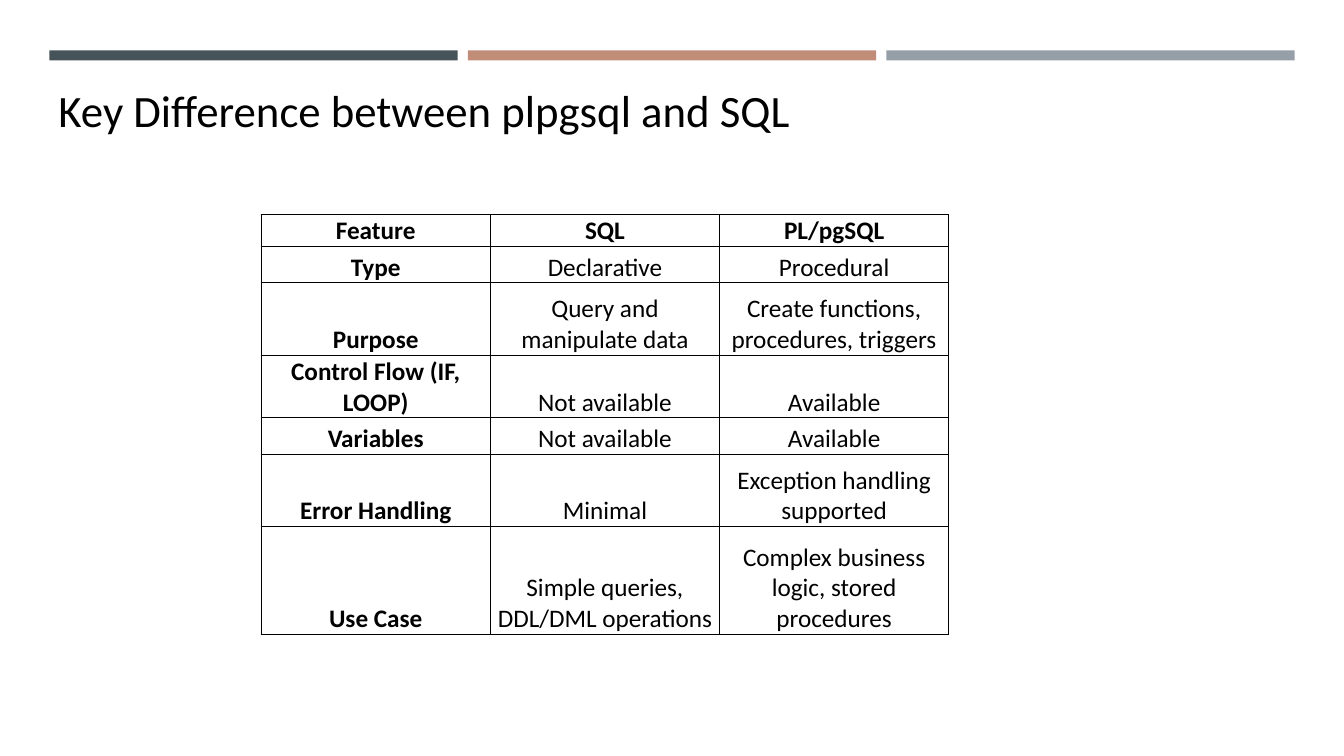
import pptx
import pptx.dml.color
import pptx.enum.shapes
import pptx.enum.text
import pptx.oxml
import pptx.oxml.ns
import pptx.util
from pptx.util import Inches

RGBColor = pptx.dml.color.RGBColor
BLACK = RGBColor(0x00, 0x00, 0x00)
SLATE = RGBColor(0x46, 0x53, 0x59)
CLAY = RGBColor(0xC1, 0x8C, 0x78)
GREY = RGBColor(0x96, 0x9F, 0xA7)

FONT = "Calibri"
ROW_HEIGHTS = [0.2, 0.36, 0.72, 0.54, 0.36, 0.72, 1.07]
ROWS = [
    ("Feature", "SQL", "PL/pgSQL"),
    ("Type", "Declarative", "Procedural"),
    ("Purpose", "Query and manipulate data", "Create functions, procedures, triggers"),
    ("Control Flow (IF, LOOP)", "Not available", "Available"),
    ("Variables", "Not available", "Available"),
    ("Error Handling", "Minimal", "Exception handling supported"),
    ("Use Case", "Simple queries, DDL/DML operations",
     "Complex business logic, stored procedures"),
]


def write(tf, text, size=18, bold=False, color=BLACK,
          align=pptx.enum.text.PP_ALIGN.LEFT):
    tf.word_wrap = True
    p = tf.paragraphs[0]
    p.alignment = align
    r = p.add_run()
    r.text = text
    r.font.name = FONT
    r.font.size = pptx.util.Pt(size)
    r.font.bold = bold
    r.font.color.rgb = color


def add_bars(s, left, top, width, height, gap=0.1):
    """Divide the width into three equal coloured bars."""
    colors = (SLATE, CLAY, GREY)
    bar = (width - gap * (len(colors) - 1)) / len(colors)
    for i, color in enumerate(colors):
        sp = s.shapes.add_shape(
            pptx.enum.shapes.MSO_SHAPE.RECTANGLE,
            Inches(left + i * (bar + gap)), Inches(top), Inches(bar), Inches(height))
        sp.shadow.inherit = False
        sp.fill.solid()
        sp.fill.fore_color.rgb = color
        sp.line.fill.background()


def add_title(s, text, left, top, width, height):
    sp = s.shapes.title
    sp.left, sp.top = Inches(left), Inches(top)
    sp.width, sp.height = Inches(width), Inches(height)
    tf = sp.text_frame
    tf.vertical_anchor = pptx.enum.text.MSO_ANCHOR.TOP
    tf.auto_size = pptx.enum.text.MSO_AUTO_SIZE.NONE
    write(tf, text, size=32)


def set_borders(cell, color=BLACK, points=1):
    tc_pr = cell._tc.get_or_add_tcPr()
    for i, side in enumerate("LRTB"):
        tc_pr.insert(i, pptx.oxml.parse_xml(
            f'<a:ln{side} {pptx.oxml.ns.nsdecls("a")} w="{pptx.util.Pt(points)}">'
            f'<a:solidFill><a:srgbClr val="{color}"/></a:solidFill></a:ln{side}>'))


def add_comparison(s, left, top, width):
    table = s.shapes.add_table(
        len(ROWS), len(ROWS[0]), Inches(left), Inches(top),
        Inches(width), Inches(sum(ROW_HEIGHTS))).table
    table.horz_banding = False
    for row, height in zip(table.rows, ROW_HEIGHTS):
        row.height = Inches(height)
    for i, texts in enumerate(ROWS):
        for j, text in enumerate(texts):
            cell = table.cell(i, j)
            cell.fill.background()
            cell.vertical_anchor = pptx.enum.text.MSO_ANCHOR.BOTTOM
            cell.margin_left = cell.margin_right = cell.margin_top = Inches(0.01)
            cell.margin_bottom = 0
            write(cell.text_frame, text, bold=i == 0 or j == 0,
                  align=pptx.enum.text.PP_ALIGN.CENTER)
            set_borders(cell)


def main():
    prs = pptx.Presentation()
    prs.slide_width, prs.slide_height = Inches(13.33), Inches(7.5)
    s = prs.slides.add_slide(prs.slide_layouts.get_by_name("Title Only"))
    add_bars(s, 0.49, 0.5, 12.35, 0.1)
    add_comparison(s, 2.59, 2.13, 6.82)
    add_title(s, "Key Difference between plpgsql and SQL", 0.48, 0.77, 7.98, 0.64)
    prs.save("out.pptx")


if __name__ == "__main__":
    main()
